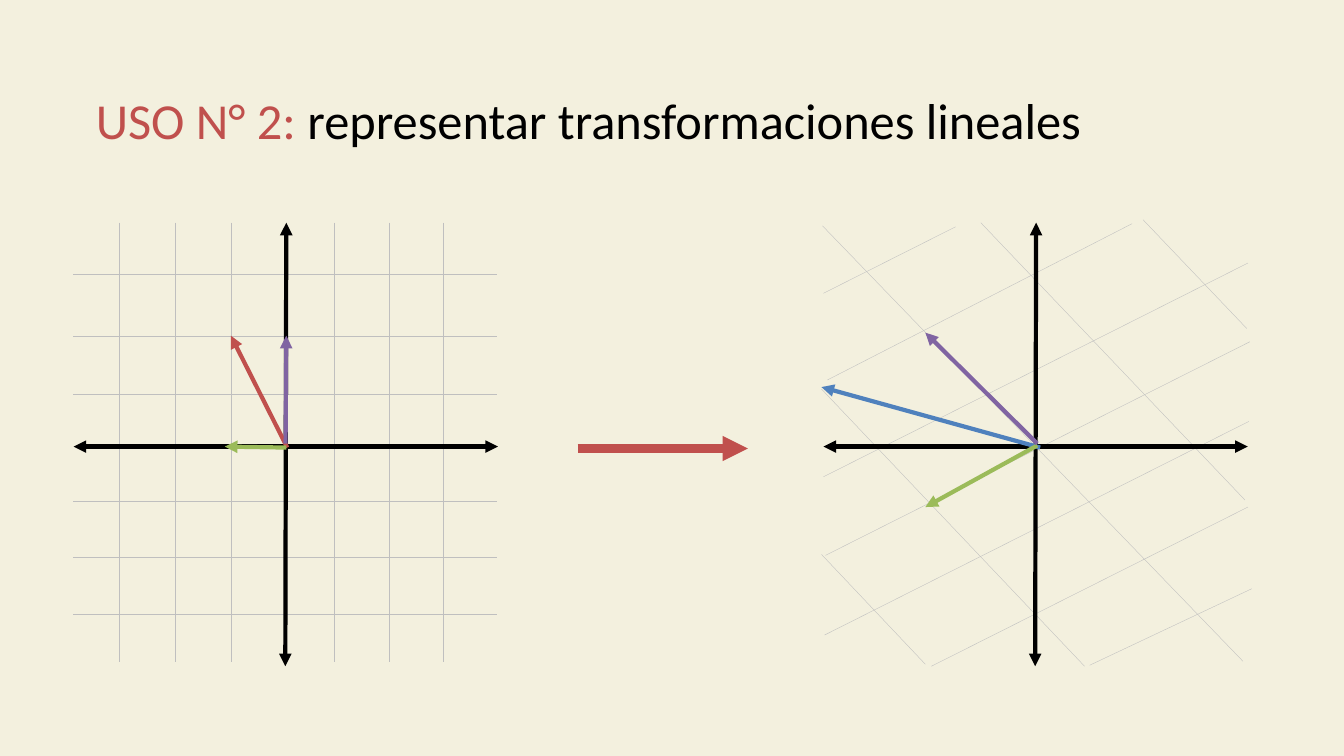
from lxml import etree
from pptx import Presentation
from pptx.dml.color import RGBColor
from pptx.enum.shapes import MSO_CONNECTOR
from pptx.enum.text import MSO_ANCHOR, MSO_AUTO_SIZE, PP_ALIGN
from pptx.oxml.ns import qn
from pptx.util import Pt

STRAIGHT = MSO_CONNECTOR.STRAIGHT
LEFT = PP_ALIGN.LEFT
MIDDLE = MSO_ANCHOR.MIDDLE
GROW = MSO_AUTO_SIZE.SHAPE_TO_FIT_TEXT

BACKGROUND, GRID, BLACK = "F3F0DE", "BFBFBF", "000000"
RED, BLUE, GREEN, PURPLE = "C0504D", "4F81BD", "9BBB59", "8064A2"

GRID_COLUMNS = (85, 125.3, 164.9, 239, 277.9, 316.8)
GRID_ROWS = (195.8, 239.8, 281.5, 357.8, 398.2, 438.5)
# Start x, start y, end x, end y
FALLING_LINES = (
    (587.5, 161.3, 887.8, 472.3),
    (700.6, 159.1, 889.2, 357.1),
    (816.5, 157, 890.6, 234.7),
    (586.8, 277.9, 774.7, 475.9),
    (586.8, 396, 661, 474.5),
)
RISING_LINES = (
    (589.7, 396.7, 892.8, 244.1),
    (588.2, 340.6, 891.4, 187.9),
    (591.1, 271.4, 808.6, 159.8),
    (588.2, 209.5, 682.6, 162),
    (589, 453.6, 892.1, 301),
    (665.3, 475.9, 891.4, 362.2),
    (778.3, 475.2, 894.2, 420.5),
)
VECTORS = (
    (BLUE, (743, 319.7, 586.8, 276.5)),
    (RED, (205.2, 319.7, 164.9, 239.8)),
    (GREEN, (740.9, 318.2, 661, 362.2)),
    (PURPLE, (204, 316.8, 204.5, 239.8)),
    (PURPLE, (740.9, 316.8, 661, 237.6)),
    (GREEN, (204.5, 319.7, 160.6, 319)),
)


def color(hex_value):
    return RGBColor.from_string(hex_value)


class SlideBuilder:
    def __init__(self, deck, background, font):
        self.page = deck.slides.add_slide(deck.slide_layouts[5])
        self.font = font
        fill = self.page.background.fill
        fill.solid()
        fill.fore_color.rgb = color(background)

    def title(self, bounds, size, spans):
        box = self.page.shapes.title
        for name, value in zip(("left", "top", "width", "height"), bounds):
            setattr(box, name, Pt(value))
        frame = box.text_frame
        frame_format = {"word_wrap": True, "vertical_anchor": MIDDLE, "auto_size": GROW}
        for name, value in frame_format.items():
            setattr(frame, name, value)
        para = frame.paragraphs[0]
        para.alignment = LEFT
        for text, hex_value in spans:
            span = para.add_run()
            span.text = text
            for name, value in {"name": self.font, "size": Pt(size)}.items():
                setattr(span.font, name, value)
            span.font.color.rgb = color(hex_value)

    def line(self, points, hex_value=GRID, width=0.25, arrow_ends=()):
        """Draw a line; arrow_ends takes headEnd (start) and tailEnd (end)."""
        connector = self.page.shapes.add_connector(STRAIGHT, *(Pt(p) for p in points))
        connector.line.color.rgb = color(hex_value)
        connector.line.width = Pt(width)
        outline = connector.line._get_or_add_ln()
        for end in arrow_ends:
            etree.SubElement(outline, qn(f"a:{end}"), type="triangle")
        etree.SubElement(connector._element.spPr, qn("a:effectLst"))

    def vector(self, points, hex_value, width=3):
        self.line(points, hex_value, width, ("tailEnd",))

    def axes(self, left):
        """Draw a pair of double-headed axes starting at the given left edge."""
        horizontal = (left, 319, left + 303.1, 319)
        vertical = (left + 151.9, 159.1, left + 151.2, 475.9)
        for points in (horizontal, vertical):
            self.line(points, BLACK, 3, ("headEnd", "tailEnd"))


def main():
    deck = Presentation()
    deck.slide_width, deck.slide_height = Pt(960), Pt(540)
    slide = SlideBuilder(deck, BACKGROUND, "Calibri")
    slide.title((61.2, 59.8, 820.8, 51.1), 36, (
        ("USO N° 2: ", RED),
        ("representar transformaciones lineales", BLACK),
    ))

    for points in FALLING_LINES + RISING_LINES:
        slide.line(points)
    slide.axes(588.2)

    for x in GRID_COLUMNS:
        slide.line((x, 159.1, x, 473))
    for y in GRID_ROWS:
        slide.line((355, y, 51.8, y))
    slide.axes(52.6)

    slide.vector((412.6, 320.4, 534.2, 320.4), RED, 6)
    for hex_value, points in VECTORS:
        slide.vector(points, hex_value)

    deck.save("out.pptx")


if __name__ == "__main__":
    main()
